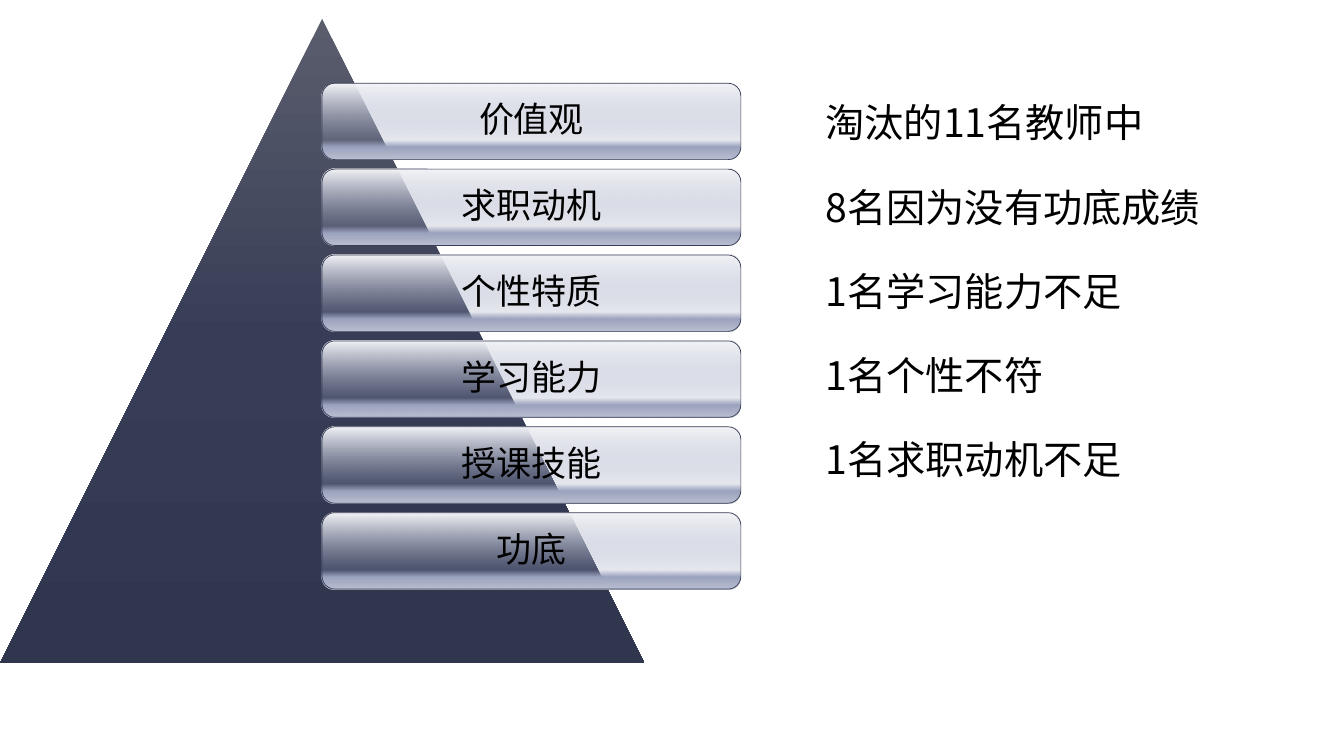
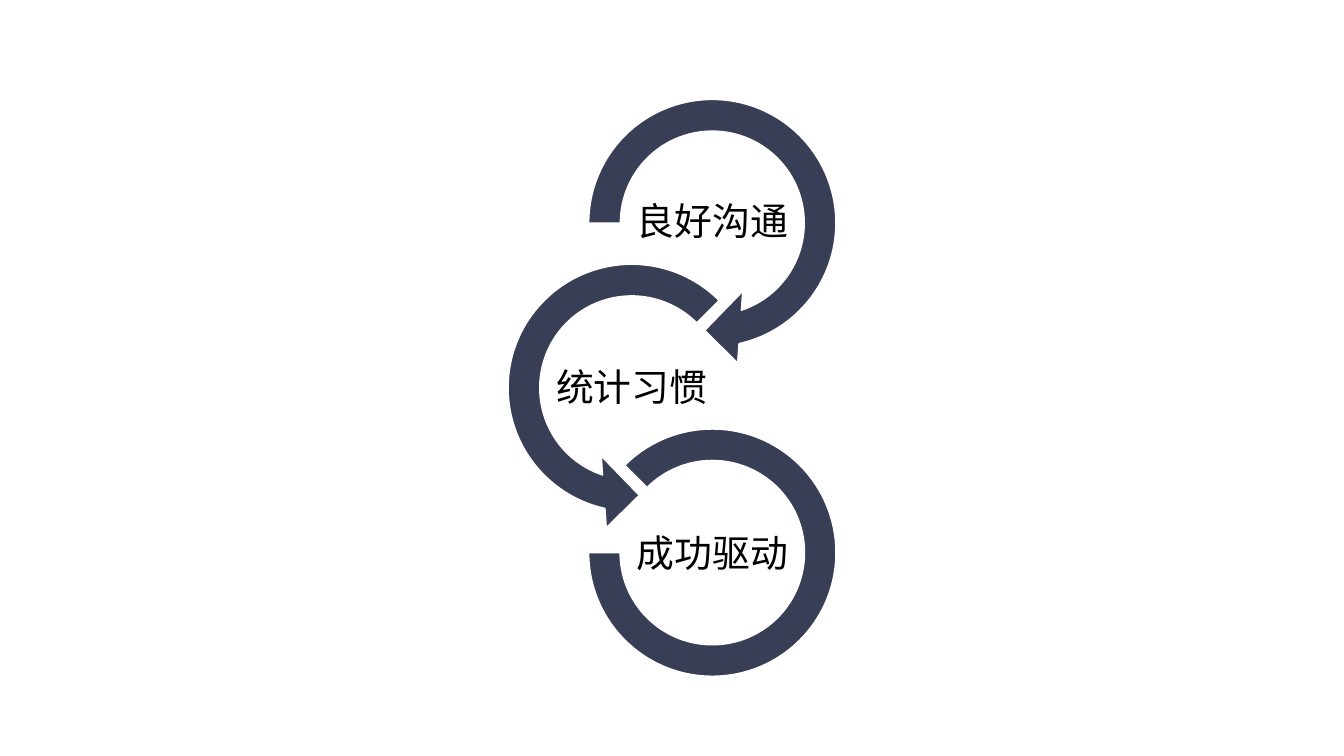
"""Build two slides: a selection pyramid and a chain of three rings."""
from lxml import etree
from pptx import Presentation
from pptx.dml.color import RGBColor
from pptx.enum.shapes import MSO_SHAPE
from pptx.enum.text import MSO_ANCHOR, PP_ALIGN
from pptx.oxml.ns import qn
from pptx.util import Inches, Pt

TRIANGLE, BAR = MSO_SHAPE.ISOSCELES_TRIANGLE, MSO_SHAPE.ROUNDED_RECTANGLE
RIGHT_RING = MSO_SHAPE.CIRCULAR_ARROW
LEFT_RING = MSO_SHAPE.LEFT_CIRCULAR_ARROW
ARC = MSO_SHAPE.BLOCK_ARC
MIDDLE, CENTER, LEFT = MSO_ANCHOR.MIDDLE, PP_ALIGN.CENTER, PP_ALIGN.LEFT

FONT = "Noto Sans CJK SC"
NAVY, WHITE, BLACK = "383E55", "FFFFFF", "000000"
PYRAMID_STOPS = [(0, "595D6C", 100), (50, "373D56", 100), (100, "2F364E", 100)]
BAR_STOPS = [(0, "F4F5F8", 100), (74, "9BA2BD", 25), (83, "9BA2BD", 100),
             (87, "A3A9C2", 100), (100, "BCC1D3", 100)]

LEVELS = ["价值观", "求职动机", "个性特质", "学习能力", "授课技能", "功底"]
FINDINGS = ["淘汰的11名教师中", "8名因为没有功底成绩", "1名学习能力不足",
            "1名个性不符", "1名求职动机不足"]
RINGS = [("良好沟通", RIGHT_RING, 0.38, 0.53, [0.11, 11.423, 45, 108, 0.125]),
         ("统计习惯", LEFT_RING, 0.38, 0.47, [0.11, 11.423, 63, 189, 0.125]),
         ("成功驱动", ARC, 0.327, 0.53, [135, 108, 0.127])]


def write(tf, lines, size, align, spacing=1.0, after=0):
    """Write one paragraph per line into a text frame."""
    tf.word_wrap = True
    for i, line in enumerate(lines):
        p = tf.add_paragraph() if i else tf.paragraphs[0]
        p.alignment, p.line_spacing, p.space_after = align, spacing, Pt(after)
        r = p.add_run()
        r.text = line
        r.font.name, r.font.size = FONT, Pt(size)
        r.font.color.rgb = RGBColor.from_string(BLACK)
        etree.SubElement(r.font._element, qn("a:ea"), typeface=FONT)


def fill_gradient(sp, stops):
    """Fill a shape from top to bottom with (position, colour, opacity) stops."""
    sp.shadow.inherit = False
    sp.fill.gradient()
    sp.fill.gradient_angle = 270
    gs_list = sp.element.spPr.find(qn("a:gradFill")).find(qn("a:gsLst"))
    for gs in list(gs_list):
        gs_list.remove(gs)
    for position, color, opacity in stops:
        gs = etree.SubElement(gs_list, qn("a:gs"), pos=str(position * 1000))
        clr = etree.SubElement(gs, qn("a:srgbClr"), val=color)
        if opacity < 100:
            etree.SubElement(clr, qn("a:alpha"), val=str(opacity * 1000))


prs = Presentation()
prs.slide_width, prs.slide_height = Inches(13.33), Inches(7.5)
W, H = prs.slide_width, prs.slide_height
blank = prs.slide_layouts[6]

s = prs.slides.add_slide(blank)
side, top = int(H * 0.852), int(H * 0.025)
sp = s.shapes.add_shape(TRIANGLE, 0, top, side, side)
fill_gradient(sp, PYRAMID_STOPS)
sp.line.fill.background()

pitch = side * 0.8 / len(LEVELS)
for i, level in enumerate(LEVELS):
    sp = s.shapes.add_shape(BAR, side // 2, int(top + side * 0.1 + i * pitch),
                            int(side * 0.65), int(pitch * 8 / 9))
    fill_gradient(sp, BAR_STOPS)
    sp.line.color.rgb = RGBColor.from_string(NAVY)
    sp.line.width = Pt(0.5)
    sp.text_frame.vertical_anchor = MIDDLE
    write(sp.text_frame, [level], 25, CENTER, 0.9)

sp = s.shapes.add_textbox(int(W * 0.607), int(H * 0.124), int(W * 0.364), int(H * 0.619))
write(sp.text_frame, FINDINGS, 28, LEFT, after=26.5)

s = prs.slides.add_slide(blank)
label_w, label_h = int(H * 0.21), int(H * 0.105)
for i, (label, kind, size, center, adjustments) in enumerate(RINGS):
    d, x = int(H * size), W * center
    ring_y, label_y = H * (0.295 + 0.218 * i), H * (0.295 + 0.22 * i)
    sp = s.shapes.add_shape(kind, int(x - d / 2), int(ring_y - d / 2), d, d)
    for j, value in enumerate(adjustments):
        sp.adjustments[j] = value
    sp.shadow.inherit = False
    sp.fill.solid()
    sp.fill.fore_color.rgb = RGBColor.from_string(NAVY)
    sp.line.color.rgb = RGBColor.from_string(WHITE)
    sp.line.width = Pt(1)
    tf = s.shapes.add_textbox(int(x - label_w / 2), int(label_y - label_h / 2),
                              label_w, label_h).text_frame
    tf.margin_left = tf.margin_right = tf.margin_top = tf.margin_bottom = Inches(0.02)
    tf.vertical_anchor = MIDDLE
    write(tf, [label], 27, CENTER, 0.9)

prs.save("out.pptx")
